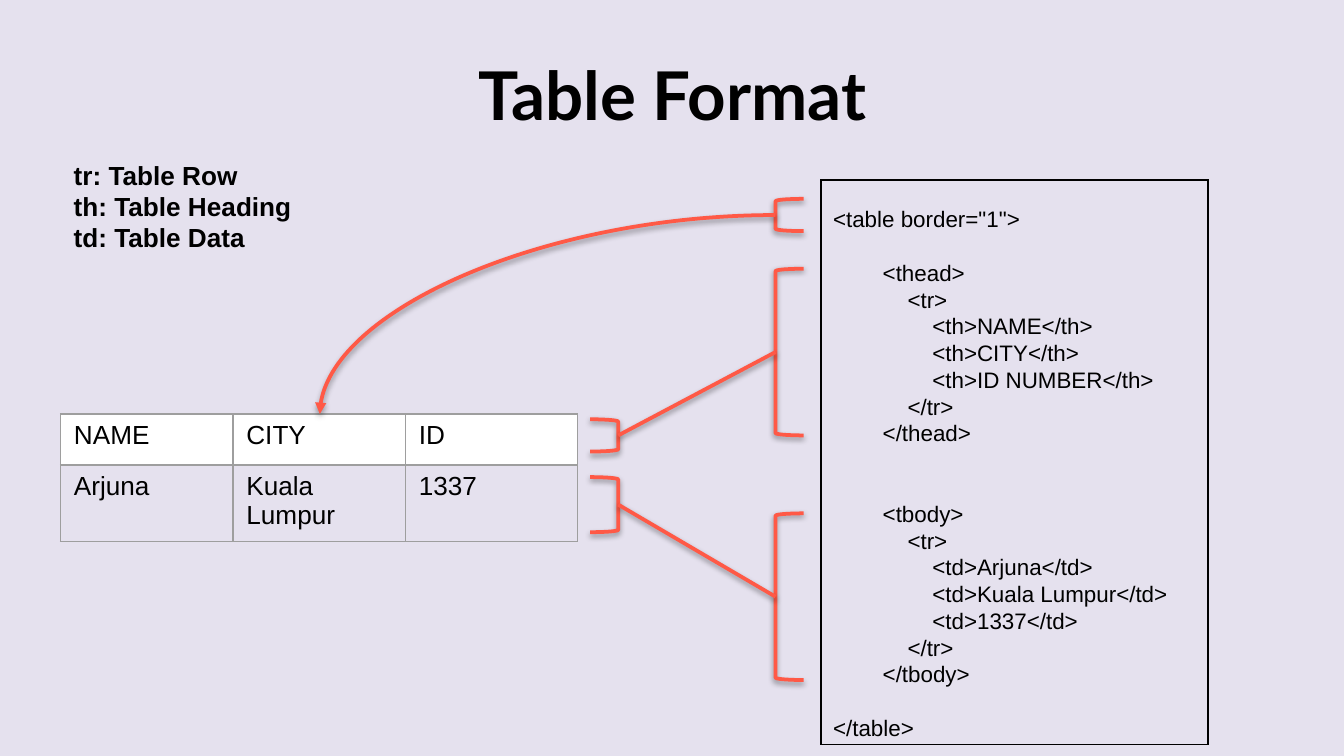
from lxml import etree
from pptx import Presentation
from pptx.dml.color import RGBColor
from pptx.enum.shapes import MSO_CONNECTOR as Connector, MSO_SHAPE as Shape
from pptx.enum.text import PP_ALIGN as Align
from pptx.oxml import parse_xml
from pptx.oxml.ns import nsdecls, qn
from pptx.util import Inches, Pt

COLOURS = {"background": "E5E1EE", "text": "000000", "frame": "000000",
           "grid": "9E9E9E", "header": "FFFFFF", "accent": "FF5946"}

# Grid: 100 columns by 56.25 rows of square units
COLUMNS, ROWS = 100, 56.25
UNIT = Inches(0.1)

LEGEND = ["tr: Table Row", "th: Table Heading", "td: Table Data"]
RECORDS = [["NAME", "CITY", "ID"], ["Arjuna", "Kuala Lumpur", "1337"]]
CODE = """<table border="1">

        <thead>
            <tr>
                <th>NAME</th>
                <th>CITY</th>
                <th>ID NUMBER</th>
            </tr>
        </thead>


        <tbody>
            <tr>
                <td>Arjuna</td>
                <td>Kuala Lumpur</td>
                <td>1337</td>
            </tr>
        </tbody>

</table>""".split("\n")

TITLE_FONT = {"name": "Lato", "size": Pt(36), "bold": True}
LEGEND_FONT = {"name": "Arial", "size": Pt(14), "bold": True}
CELL_FONT = {"name": "Arial", "size": Pt(14), "bold": False}
CODE_FONT = {"name": "Arial", "size": Pt(12), "bold": False}


def colour(name):
    return RGBColor.from_string(COLOURS[name])


def grid(*lengths):
    return [round(length * UNIT) for length in lengths]


def format_font(paragraph, values):
    for key, value in values.items():
        setattr(paragraph.font, key, value)
    paragraph.font.color.rgb = colour("text")


def add_text(slide, box, lines, font, pitch=None, align=Align.LEFT, inset=None):
    """Write lines; an empty line becomes space before the next one."""
    frame = slide.shapes.add_textbox(*grid(*box)).text_frame
    frame.word_wrap = True
    if inset is not None:
        frame.margin_left = frame.margin_right = inset
        frame.margin_top = frame.margin_bottom = inset
    paragraph, gaps = None, 0
    for line in lines:
        if not line:
            gaps += 1
            continue
        paragraph = frame.add_paragraph() if paragraph else frame.paragraphs[0]
        paragraph.text = line
        paragraph.alignment = align
        if pitch:
            paragraph.line_spacing = Pt(pitch)
        if gaps:
            paragraph.space_before = Pt(gaps * pitch)
        format_font(paragraph, font)
        gaps = 0


def border_cell(cell, name, width):
    properties = cell._tc.get_or_add_tcPr()
    for position, side in enumerate(("lnL", "lnR", "lnT", "lnB")):
        properties.insert(position, parse_xml(
            f'<a:{side} {nsdecls("a")} w="{Pt(width)}"><a:solidFill>'
            f'<a:srgbClr val="{COLOURS[name]}"/></a:solidFill></a:{side}>'))


def add_grid_table(slide, box, heights, records, border, width, header=None):
    table = slide.shapes.add_table(
        len(records), len(records[0]), *grid(*box)).table
    table.first_row = table.horz_banding = False
    for row, height, record in zip(table.rows, heights, records):
        row.height = grid(height)[0]
        for cell, text in zip(row.cells, record):
            cell.text = text
            format_font(cell.text_frame.paragraphs[0], CELL_FONT)
            if header and record is records[0]:
                cell.fill.solid()
                cell.fill.fore_color.rgb = colour(header)
            else:
                cell.fill.background()
            border_cell(cell, border, width)


def style_mark(mark):
    """Accent line with a soft shadow straight below."""
    mark.line.color.rgb = colour("accent")
    mark.line.width = Pt(2)
    mark._element.spPr.append(parse_xml(
        f'<a:effectLst {nsdecls("a")}><a:outerShdw blurRad="{Pt(3.1)}" '
        f'dist="{Pt(1.6)}" dir="5400000" algn="bl" rotWithShape="0">'
        '<a:srgbClr val="000000"><a:alpha val="38000"/></a:srgbClr>'
        '</a:outerShdw></a:effectLst>'))


def add_bracket(slide, box, rotation=0):
    bracket = slide.shapes.add_shape(Shape.LEFT_BRACKET, *grid(*box))
    bracket.rotation = rotation
    bracket.fill.background()
    style_mark(bracket)
    return bracket


def add_line(slide, kind, start, end):
    line = slide.shapes.add_connector(kind, *grid(*start, *end))
    style_mark(line)
    return line


def add_links(slide, box):
    """Brackets beside the code and the table, with the lines between them."""
    left, top, width, height = box
    depth = 2.1
    code_left, table_tip = left + width - depth, left + depth

    # Whole table: curved arrow to the table's top edge
    add_bracket(slide, (code_left, top, depth, 2.4))
    arrow = add_line(slide, Connector.CURVE,
                     (code_left, top + 1.2), (23.8, 30.8))
    arrow._element.spPr.find(qn("a:prstGeom")).set("prst", "curvedConnector2")
    etree.SubElement(arrow.line._get_or_add_ln(), qn("a:tailEnd"),
                     type="triangle")

    # Head and body: (code top, table top, table height)
    for code_top, table_top, table_height in ((5.2, 16.4, 2.4),
                                              (23.4, 20.7, 4.1)):
        code_bracket = add_bracket(
            slide, (code_left, top + code_top, depth, 12.4))
        add_bracket(slide, (left, top + table_top, depth, table_height), 180)
        line = add_line(slide, Connector.STRAIGHT,
                        (code_left, top + code_top + 6.2),
                        (table_tip, top + table_top + table_height / 2))
        line.begin_connect(code_bracket, 1)


def add_code_panel(slide, box):
    left, top, width, height = box
    add_grid_table(slide, box, [height], [[""]], "frame", 1)
    add_text(slide, (left - 0.1, top + 1.4, width + 0.1, height - 0.6),
             CODE, CODE_FONT, pitch=14.35)


def build_slide(presentation):
    slide = presentation.slides.add_slide(presentation.slide_layouts[6])
    slide.background.fill.solid()
    slide.background.fill.fore_color.rgb = colour("background")
    add_text(slide, (34.4, 3, 31.3, 6.3), ["Table Format"], TITLE_FONT,
             align=Align.CENTER, inset=UNIT)
    add_text(slide, (4.5, 11.4, 19.2, 8.1), LEGEND, LEGEND_FONT, pitch=16.6)
    add_code_panel(slide, (61.1, 13.4, 28.8, 42))
    add_grid_table(slide, (4.5, 30.8, 38.5, 9.2), [3.8, 5.4], RECORDS,
                   "grid", 0.75, header="header")
    add_links(slide, (43.9, 14.8, 15.9, 35.8))


def main():
    presentation = Presentation()
    presentation.slide_width, presentation.slide_height = grid(COLUMNS, ROWS)
    build_slide(presentation)
    presentation.save("out.pptx")


if __name__ == "__main__":
    main()
